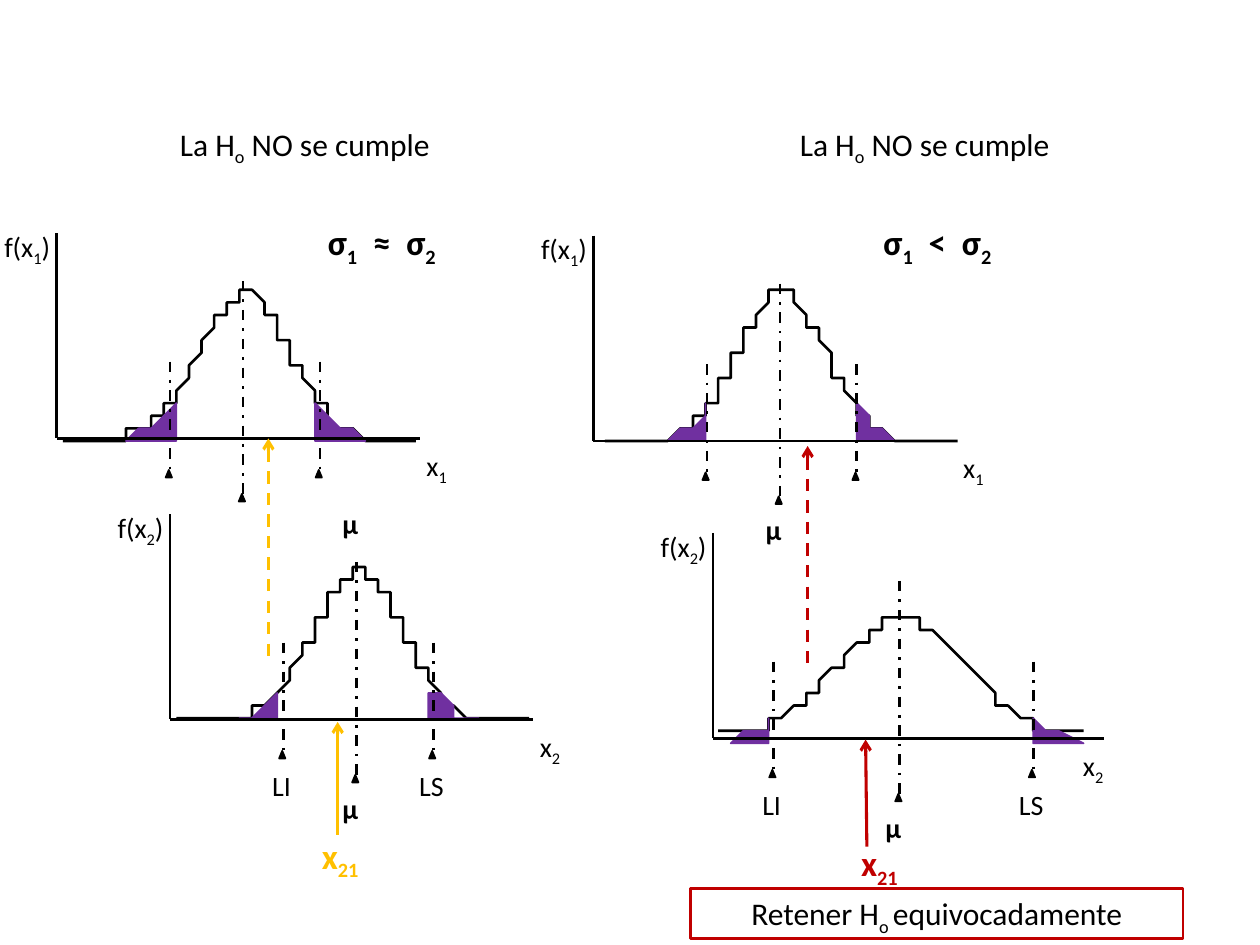
from lxml.etree import SubElement
from pptx import Presentation
from pptx.dml.color import RGBColor
from pptx.enum.dml import MSO_LINE
from pptx.enum.shapes import MSO_CONNECTOR, MSO_SHAPE
from pptx.enum.text import MSO_ANCHOR, MSO_AUTO_SIZE, PP_ALIGN
from pptx.oxml.ns import qn
from pptx.util import Inches, Pt

# The slide is a grid of 100 columns by 75 rows
CELL = Inches(10) // 100
COLUMNS, ROWS = 100, 75

BLACK, PURPLE, RED, AMBER = "000000", "7030A0", "C00000", "FFC000"

# Densities as (columns right, rows up) from the origin of the axes
NARROW = {
    "curve": [(0.9, 0), (2, 0), (3.4, 0), (5.1, 0.1), (6.6, 0.6), (7.7, 1.3),
              (8.8, 2.5), (9.7, 3.8), (10.7, 5.7), (11.6, 7.4), (12.5, 9.2),
              (13.1, 10.1), (14, 11.2), (14.5, 11.7), (14.9, 11.8),
              (15.7, 11.5), (16.4, 10.6), (17.1, 9.7), (17.7, 8.4),
              (18.5, 7.2), (19, 5.9), (19.6, 5), (20.2, 3.8), (20.9, 2.7),
              (22, 1.3), (23.2, 0.6), (24.2, 0.3), (24.9, 0.2), (26.1, 0.1),
              (27.3, 0.1), (28.8, 0.1)],
    # Tail as (columns away from the limit, rows up)
    "tail": [(0, 2.5), (0, 0.1), (3.2, 0.1), (2.1, 0.5), (1.3, 1.1), (0.6, 1.8)],
    "limits": (9, 20.9),
    "axis": 28.8,
}
WIDE = {
    "curve": [(0.1, 0.3), (1.5, 0.4), (4.1, 0.9), (6.2, 2.2), (8.1, 3.9),
              (10.6, 6.6), (12.4, 8.3), (13.5, 9), (14.5, 9.5), (14.8, 9.6),
              (16, 9.4), (17.7, 8.2), (19.2, 6.7), (21, 4.8), (22.8, 3),
              (24.4, 1.8), (26, 0.9), (27.7, 0.4), (28.6, 0.3), (29.3, 0.3)],
    "tail": [(0, 1.2), (0, 0), (3.5, 0), (2.3, 0.3), (1.4, 0.6), (0.6, 0.9)],
    "limits": (4.8, 25.4),
    "axis": 31,
}
MEAN = 14.8


def cells(count):
    return round(count * CELL)


def color(hex_code):
    return RGBColor.from_string(hex_code)


def write(box, text, size=16, hex_code=BLACK, bold=False, align=PP_ALIGN.CENTER):
    """Fill a box with text; parts between bars are subscripts."""
    frame = box.text_frame
    frame.word_wrap = True
    frame.auto_size = MSO_AUTO_SIZE.SHAPE_TO_FIT_TEXT
    frame.vertical_anchor = MSO_ANCHOR.TOP
    paragraph = frame.paragraphs[0]
    paragraph.alignment = align
    for index, part in enumerate(text.split("|")):
        if not part:
            continue
        run = paragraph.add_run()
        run.text = part
        run.font.name = "Calibri"
        run.font.size = Pt(size)
        run.font.bold = bold
        run.font.color.rgb = color(hex_code)
        if index % 2:
            run._r.get_or_add_rPr().set("baseline", "-25000")


def label(shapes, text, left, top, width, height=3.2, **text_format):
    box = shapes.add_textbox(*map(cells, (left, top, width, height)))
    write(box, text, **text_format)


def line(shapes, start, end, hex_code=BLACK, weight=1.5, dash=None, arrow=False):
    stroke = shapes.add_connector(MSO_CONNECTOR.STRAIGHT, *map(cells, (*start, *end)))
    stroke.line.color.rgb = color(hex_code)
    stroke.line.width = Pt(weight)
    if dash:
        stroke.line.dash_style = dash
    properties = stroke._element.spPr
    if arrow:  # the head sits at the start
        SubElement(properties.find(qn("a:ln")), qn("a:headEnd"), type="arrow")
    SubElement(properties, qn("a:effectLst"))


def paint(shape, fill, outline, weight):
    shape.shadow.inherit = False
    if fill:
        shape.fill.solid()
        shape.fill.fore_color.rgb = color(fill)
    else:
        shape.fill.background()
    shape.line.color.rgb = color(outline)
    shape.line.width = Pt(weight)


def outline(shapes, points, fill=None, stroke=BLACK, weight=1.5):
    first, *rest = points
    builder = shapes.build_freeform(*first, scale=CELL)
    builder.add_line_segments(rest, close=bool(fill))
    paint(builder.convert_to_shape(), fill, stroke, weight)


def smooth(knots, steps=4):
    """Catmull-Rom curve through the knots."""
    padded = [knots[0], *knots, knots[-1]]
    points = [knots[0]]
    for quad in zip(padded, padded[1:], padded[2:], padded[3:]):
        for t in (step / steps for step in range(1, steps + 1)):
            points.append(tuple(
                b + t * (c - a) / 2 + t**2 * (2 * a - 5 * b + 4 * c - d) / 2
                + t**3 * (3 * b - a - 3 * c + d) / 2 for a, b, c, d in zip(*quad)))
    return points


def marker(shapes, x, top, bottom, tip):
    """Dash-dotted vertical ending in a small triangle."""
    line(shapes, (x, top), (x, bottom), dash=MSO_LINE.DASH_DOT)
    pointer = shapes.add_shape(MSO_SHAPE.ISOSCELES_TRIANGLE,
                               *map(cells, (x - 0.35, tip, 0.5, 0.6)))
    paint(pointer, BLACK, BLACK, 1)


def density_plot(slide, density, origin, number, mean_label=True, limit_labels=False):
    shapes = slide.shapes.add_group_shape().shapes
    x0, y0 = origin

    # Curve and shaded tails
    outline(shapes, smooth([(x0 + x, y0 - y) for x, y in density["curve"]]))
    for limit, side in zip(density["limits"], (-1, 1)):
        tail = [(x0 + limit + side * x, y0 - y) for x, y in density["tail"]]
        outline(shapes, tail, fill=PURPLE, stroke=PURPLE, weight=1)

    # Axes
    line(shapes, (x0, y0 - 16.3), origin)
    line(shapes, origin, (x0 + density["axis"], y0))
    label(shapes, f"f(x|{number}|)", x0 - 5.8, y0 - 17.1, 6.9)
    label(shapes, f"x|{number}|", x0 + 27.6, y0 + 0.3, 5.1)

    # Mean and limits
    marker(shapes, x0 + MEAN, y0 - 12.5, y0 + 4.4, y0 + 4.4)
    for limit, name in zip(density["limits"], ("LI ", "LS ")):
        x = x0 + limit
        marker(shapes, x, y0 - 6.1, y0 + 3, y0 + 2.5)
        if limit_labels:
            label(shapes, name, x - 2.9, y0 + 3.4, 6)
    if mean_label:
        label(shapes, "μ ", x0 + 12.2, y0 + 5.2, 4.7, bold=True)


def main():
    deck = Presentation()
    deck.slide_width, deck.slide_height = cells(COLUMNS), cells(ROWS)
    slide = deck.slides.add_slide(deck.slide_layouts[6])
    shapes = slide.shapes

    # Four densities
    density_plot(slide, WIDE, (56.6, 58.6), 2, limit_labels=True)
    density_plot(slide, NARROW, (4.5, 34.8), 1, mean_label=False)
    density_plot(slide, NARROW, (47.1, 35), 1)
    density_plot(slide, NARROW, (13.5, 57.1), 2, limit_labels=True)
    label(shapes, "μ ", 25.7, 39.7, 4.7, bold=True)

    # Headings
    for left in (13.3, 62.5):
        label(shapes, "La H|o| NO se cumple", left, 9.4, 25, 4,
              size=18, align=PP_ALIGN.LEFT)
    for sign, left in (("≈", 22.9), ("<", 67)):
        label(shapes, f"σ|1|  {sign}  σ|2|", left, 17, 14.8, 4.4, size=20, bold=True)

    # Observed value, carried up to the first density
    for hex_code, upper, lower, name_at in (
            (AMBER, ((21.3, 34.8), (21.3, 52.1)), ((26.8, 57.3), (26.8, 66.3)), (23.8, 65.7)),
            (RED, ((64.1, 35.4), (64.1, 52.7)), ((68.7, 58.7), (68.8, 67.2)), (66.6, 66.3))):
        line(shapes, *upper, hex_code, 1.75, MSO_LINE.DASH, arrow=True)
        line(shapes, *lower, hex_code, 1.75, arrow=True)
        label(shapes, "x|21|", *name_at, 6.4, 4.4, size=20, hex_code=hex_code, bold=True)

    # Conclusion
    conclusion = shapes.add_shape(MSO_SHAPE.RECTANGLE, *map(cells, (54.8, 70.5, 39.1, 4)))
    paint(conclusion, None, RED, 1.5)
    write(conclusion, "Retener H|o |equivocadamente", size=18)

    deck.save("out.pptx")


if __name__ == "__main__":
    main()
